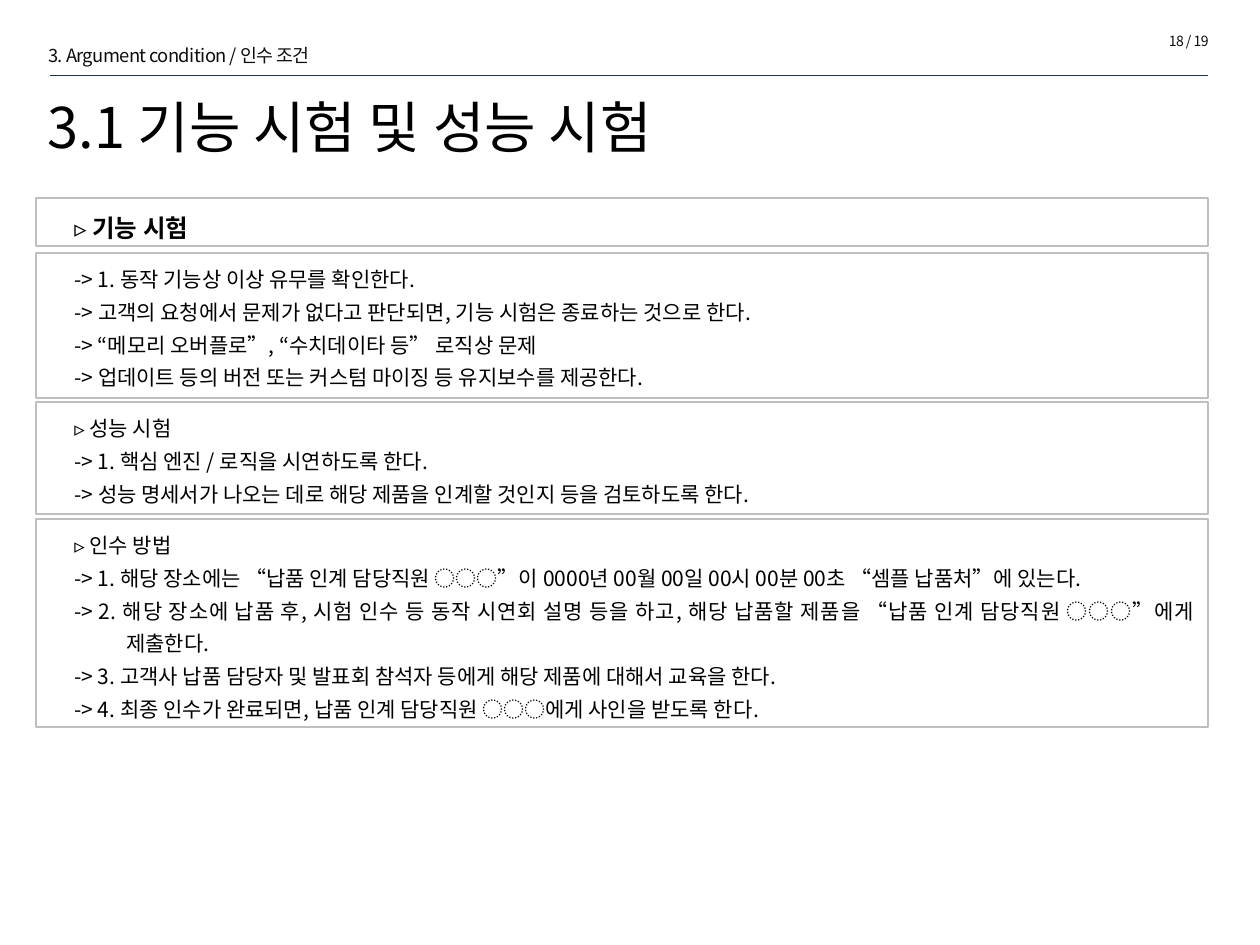
from dataclasses import dataclass

from lxml import etree
from pptx import Presentation
from pptx import util as u
from pptx.dml.color import RGBColor
from pptx.enum import shapes, text
from pptx.oxml import ns

PX = 914400 // 126


def px(num):
    return u.Emu(num * PX)


@dataclass(frozen=True)
class Theme:
    font: str = "Noto Sans CJK KR"
    ink: str = "000000"
    soft: str = "0D0D0D"
    rule: str = "1C314E"
    edge: str = "BFBFBF"
    fill: str = "FFFFFF"
    title: float = 32
    head: float = 14
    body: float = 12
    crumb: float = 10.5
    page: float = 8


def write(frame, lines, *, size, color, font, bold=False, align=None,
          space=None, track=None, left=0, hang=0):
    """Fill a text frame with one paragraph per line; left and hang are px."""
    frame.word_wrap = True
    for i, line in enumerate(lines):
        para = frame.paragraphs[0] if i == 0 else frame.add_paragraph()
        para.text = line
        para.alignment = align
        para.line_spacing = space
        if left:
            props = para._p.get_or_add_pPr()
            props.set("marL", str(px(left + hang)))
            props.set("indent", str(px(-hang)))
        for run in para.runs:
            run.font.name = font
            run.font.size = u.Pt(size)
            run.font.bold = bold
            run.font.color.rgb = RGBColor.from_string(color)
            props = run._r.get_or_add_rPr()
            etree.SubElement(props, ns.qn("a:ea"), typeface=font)
            if track:
                props.set("spc", str(track))


class Deck:
    """Holds the theme and the slide being drawn."""

    def __init__(self, theme):
        self.theme = theme
        self.show = Presentation()
        self.show.slide_width, self.show.slide_height = px(1260), px(945)
        self.slide = self.show.slides.add_slide(self.show.slide_layouts[6])

    def label(self, area, line, mid=False, **form):
        box = self.slide.shapes.add_textbox(*map(px, area))
        if mid:
            box.text_frame.vertical_anchor = text.MSO_ANCHOR.MIDDLE
        write(box.text_frame, [line], font=self.theme.font, **form)

    def rule(self, x1, x2, y):
        line = self.slide.shapes.add_connector(
            shapes.MSO_CONNECTOR.STRAIGHT, px(x1), px(y), px(x2), px(y))
        line.line.color.rgb = RGBColor.from_string(self.theme.rule)
        line.line.width = u.Pt(0.25)
        etree.SubElement(line._element.spPr, ns.qn("a:effectLst"))

    def panel(self, top, high, lines, **form):
        box = self.slide.shapes.add_shape(
            shapes.MSO_SHAPE.RECTANGLE, px(36), px(top), px(1172), px(high))
        box.shadow.inherit = False
        box.fill.solid()
        box.fill.fore_color.rgb = RGBColor.from_string(self.theme.fill)
        box.line.color.rgb = RGBColor.from_string(self.theme.edge)
        box.line.width = u.Pt(1)
        box.text_frame.vertical_anchor = text.MSO_ANCHOR.TOP
        write(box.text_frame, lines, font=self.theme.font,
              color=self.theme.ink, align=text.PP_ALIGN.JUSTIFY, space=1.3,
              left=26, hang=52, **form)


PANELS = [
    (253, 145, [
        "-> 1. 동작 기능상 이상 유무를 확인한다.",
        "-> 고객의 요청에서 문제가 없다고 판단되면, 기능 시험은 종료하는 것으로 한다.",
        "-> “메모리 오버플로”, “수치데이타 등” 로직상 문제",
        "-> 업데이트 등의 버전 또는 커스텀 마이징 등 유지보수를 제공한다.",
    ]),
    (402, 112, [
        "▹ 성능 시험",
        "-> 1. 핵심 엔진 / 로직을 시연하도록 한다.",
        "-> 성능 명세서가 나오는 데로 해당 제품을 인계할 것인지 등을 검토하도록 한다.",
    ]),
    (519, 208, [
        "▹ 인수 방법",
        "-> 1. 해당 장소에는 “납품 인계 담당직원 ◌◌◌”이 0000년 00월 00일 "
        "00시 00분 00초 “셈플 납품처”에 있는다.",
        "-> 2. 해당 장소에 납품 후, 시험 인수 등 동작 시연회 설명 등을 하고, "
        "해당 납품할 제품을 “납품 인계 담당직원 ◌◌◌”에게\v제출한다.",
        "-> 3. 고객사 납품 담당자 및 발표회 참석자 등에게 해당 제품에 대해서 교육을 한다.",
        "-> 4. 최종 인수가 완료되면, 납품 인계 담당직원 ◌◌◌에게 사인을 받도록 한다.",
    ]),
]


def main():
    theme = Theme()
    deck = Deck(theme)
    deck.label((36, 38, 403, 35), "3. Argument condition / 인수 조건",
               size=theme.crumb, color=theme.soft, track=-30)
    deck.rule(50, 1208, 75)
    deck.label((35, 97, 1167, 81), "3.1 기능 시험 및 성능 시험", mid=True,
               size=theme.title, color=theme.ink, space=u.Pt(25))
    deck.label((1003, 26, 218, 30), "18 / 19", size=theme.page,
               color=theme.soft, track=-30, align=text.PP_ALIGN.RIGHT)
    deck.panel(198, 48, ["▹ 기능 시험"], size=theme.head, bold=True)
    for top, high, lines in PANELS:
        deck.panel(top, high, lines, size=theme.body)
    deck.show.save("out.pptx")


if __name__ == "__main__":
    main()
